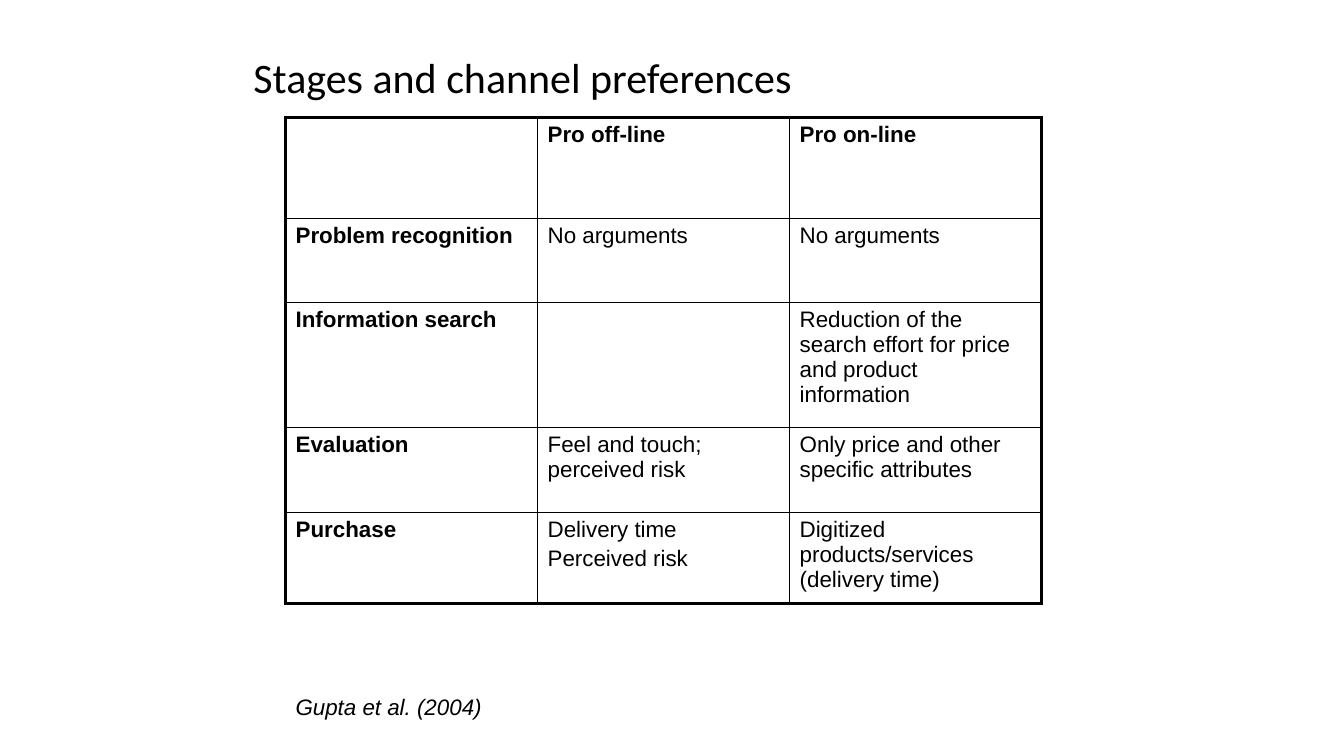
from pptx import Presentation
from pptx.dml.color import RGBColor
from pptx.enum.text import MSO_ANCHOR
from pptx.oxml import parse_xml
from pptx.oxml.ns import nsdecls
from pptx.util import Pt

TOP, MIDDLE = MSO_ANCHOR.TOP, MSO_ANCHOR.MIDDLE
PX = 9525
BLANK_LAYOUT = 6

THEME = {
    "ink": "000000",
    "title": {"name": "Calibri", "size": Pt(30)},
    "heading": {"name": "Arial", "size": Pt(16), "bold": True},
    "body": {"name": "Arial", "size": Pt(16), "bold": False},
    "source": {"name": "Arial", "size": Pt(16), "italic": True},
    "outer_line": Pt(2.25),
    "inner_line": Pt(1),
    "paragraph_gap": Pt(3),
}

CAPTIONS = [
    ("Stages and channel preferences", "title", (232, 24, 816, 104), MIDDLE, 0.9),
    ("Gupta et al. (2004)", "source", (272, 655, 408, 35), TOP, 1.0),
]
COLUMN_WIDTH = 240
ROW_HEIGHTS = [96, 80, 119, 81, 87]
PREFERENCES = [
    ["", "Pro off-line", "Pro on-line"],
    ["Problem recognition", "No arguments", "No arguments"],
    ["Information search", "",
     "Reduction of the search effort for price and product information"],
    ["Evaluation", "Feel and touch; perceived risk",
     "Only price and other specific attributes"],
    ["Purchase", "Delivery time\nPerceived risk",
     "Digitized products/services (delivery time)"],
]


def write_text(frame, text, style):
    frame.text = text
    for index, para in enumerate(frame.paragraphs):
        if index:
            para.space_before = THEME["paragraph_gap"]
        for span in para.runs:
            for attribute, value in THEME[style].items():
                setattr(span.font, attribute, value)
            span.font.color.rgb = RGBColor.from_string(THEME["ink"])


def add_border(cell, side, width):
    cell._tc.get_or_add_tcPr().append(parse_xml(
        f'<a:ln{side} {nsdecls("a")} w="{width}"><a:solidFill>'
        f'<a:srgbClr val="{THEME["ink"]}"/></a:solidFill></a:ln{side}>'))


deck = Presentation()
deck.slide_width, deck.slide_height = 1280 * PX, 720 * PX
page = deck.slides.add_slide(deck.slide_layouts[BLANK_LAYOUT])

for text, style, bounds, anchor, spacing in CAPTIONS:
    box = page.shapes.add_textbox(*(length * PX for length in bounds))
    box.text_frame.word_wrap = True
    box.text_frame.vertical_anchor = anchor
    write_text(box.text_frame, text, style)
    box.text_frame.paragraphs[0].line_spacing = spacing

row_count, column_count = len(PREFERENCES), len(PREFERENCES[0])
table = page.shapes.add_table(
    row_count, column_count, 272 * PX, 112 * PX,
    column_count * COLUMN_WIDTH * PX, sum(ROW_HEIGHTS) * PX).table
table.first_row = False
table.horz_banding = False
for column in table.columns:
    column.width = COLUMN_WIDTH * PX

for row, height in enumerate(ROW_HEIGHTS):
    table.rows[row].height = height * PX
    for column, text in enumerate(PREFERENCES[row]):
        cell = table.cell(row, column)
        write_text(cell.text_frame, text, "body" if row and column else "heading")
        outer_edges = {
            "L": column == 0,
            "R": column == column_count - 1,
            "T": row == 0,
            "B": row == row_count - 1,
        }
        for side, is_outer in outer_edges.items():
            add_border(cell, side, THEME["outer_line" if is_outer else "inner_line"])
        cell.fill.background()

deck.save("out.pptx")
